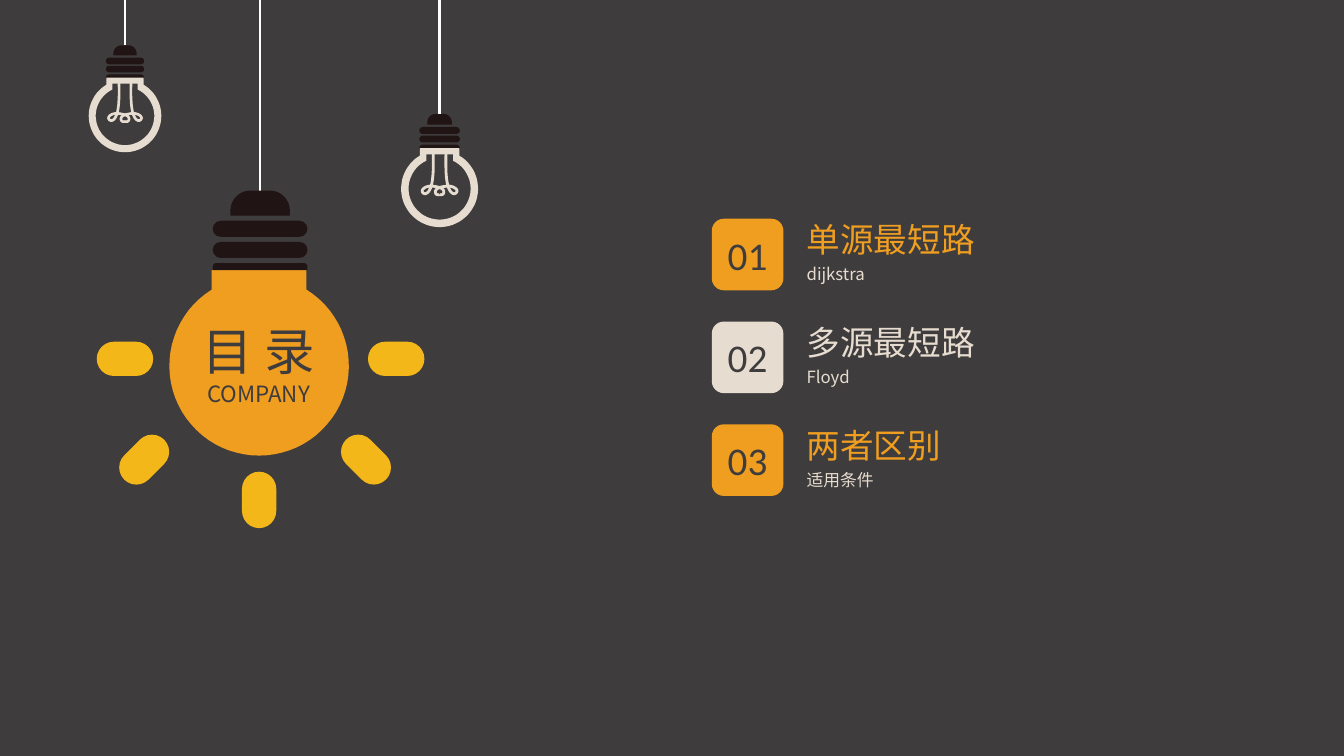
from math import acos, cos, pi, sin
from lxml.etree import SubElement
from pptx import Presentation
from pptx.dml.color import RGBColor
from pptx.enum.shapes import MSO_CONNECTOR, MSO_SHAPE
from pptx.enum.text import MSO_ANCHOR, MSO_AUTO_SIZE, PP_ALIGN
from pptx.oxml.ns import qn
from pptx.util import Inches, Pt

SLATE, ORANGE, CREAM = "3F3C3D", "EF9E20", "E6DCCF"
BLACK, YELLOW, WHITE = "201514", "F3B71A", "FFFFFF"
CHINESE, LATIN = "Noto Sans CJK SC", "Calibri"
UNIT = 1000
LIST_LEFT, LIST_TOP, ROW_PITCH, BADGE = 7.06, 2.17, 1.02, 0.71

ENTRIES = [
    ("单源最短路", "dijkstra", ORANGE),
    ("多源最短路", "Floyd", CREAM),
    ("两者区别", "适用条件", ORANGE),
]
RAYS = [
    (1.24, 3.56, 0), (3.93, 3.56, 0), (3.63, 4.56, 45),
    (1.43, 4.56, 135), (2.57, 4.96, 90),
]
FILAMENT_START = (-0.06, 0.36)
FILAMENT_CURVES = [
    ((-0.055, 0.5), (-0.06, 0.62), (-0.08, 0.68)),
    ((-0.1, 0.74), (-0.13, 0.76), (-0.155, 0.74)),
    ((-0.185, 0.71), (-0.13, 0.675), (-0.08, 0.675)),
    ((-0.03, 0.68), (0.04, 0.69), (0.04, 0.73)),
    ((0.04, 0.76), (0.01, 0.76), (0, 0.755)),
]


def color(code):
    return RGBColor.from_string(code)


def paint(shape, code):
    shape.shadow.inherit = False
    shape.fill.solid()
    shape.fill.fore_color.rgb = color(code)
    shape.line.fill.background()
    return shape


def arc(center_x, center_y, radius, start, end, steps=60):
    angles = [start + (end - start) * step / steps for step in range(steps + 1)]
    return [(center_x + radius * cos(a), center_y + radius * sin(a)) for a in angles]


def bezier(start, curves, steps=10):
    points = [start]
    for first, second, end in curves:
        origin = points[-1]
        for step in range(1, steps + 1):
            t = step / steps
            weights = ((1 - t) ** 3, 3 * t * (1 - t) ** 2, 3 * t * t * (1 - t), t ** 3)
            corners = (origin, first, second, end)
            points.append(tuple(
                sum(w * corner[axis] for w, corner in zip(weights, corners))
                for axis in (0, 1)))
    return points


def add_outline(shapes, contours, closed=True):
    scaled = [[(x * UNIT, y * UNIT) for x, y in points] for points in contours]
    builder = shapes.build_freeform(*scaled[0][0], scale=Inches(1) / UNIT)
    builder.add_line_segments(scaled[0][1:], close=closed)
    for points in scaled[1:]:
        builder.move_to(*points[0])
        builder.add_line_segments(points[1:], close=closed)
    return builder.convert_to_shape()


def add_box(shapes, kind, left, top, width, height, code):
    box = shapes.add_shape(kind, Inches(left), Inches(top), Inches(width), Inches(height))
    return paint(box, code)


def add_pill(shapes, center_x, center_y, width, height, code, angle=0):
    pill = add_box(shapes, MSO_SHAPE.ROUNDED_RECTANGLE, center_x - width / 2,
                   center_y - height / 2, width, height, code)
    pill.adjustments[0] = 0.5
    pill.rotation = angle


def add_cap(shapes, center_x, top, half_width, height):
    radius = 0.8 * height
    inner = half_width - radius
    points = [(center_x - half_width, top + height)]
    points += arc(center_x - inner, top + radius, radius, pi, 1.5 * pi, 12)
    points += arc(center_x + inner, top + radius, radius, 1.5 * pi, 2 * pi, 12)
    points.append((center_x + half_width, top + height))
    paint(add_outline(shapes, [points]), BLACK)


def add_cord(shapes, center_x, bottom):
    cord = shapes.add_connector(MSO_CONNECTOR.STRAIGHT, Inches(center_x), 0,
                                Inches(center_x), Inches(bottom))
    cord.line.color.rgb = color(WHITE)
    cord.line.width = Pt(1.75)
    SubElement(cord._element.spPr, qn("a:effectLst"))


def glass(center_x, center_y, radius, half_neck, neck_top):
    shoulder = acos(half_neck / radius)
    return ([(center_x - half_neck, neck_top), (center_x + half_neck, neck_top)]
            + arc(center_x, center_y, radius, -shoulder, pi + shoulder))


def add_hanging_bulb(page, center_x, top, size):
    shapes = page.shapes.add_group_shape().shapes

    def place(points):
        return [(center_x + x * size, top + y * size) for x, y in points]

    left_wire = bezier(FILAMENT_START, FILAMENT_CURVES)
    right_wire = [(-x, y) for x, y in left_wire]
    filament = add_outline(shapes, [place(left_wire), place(right_wire)], closed=False)
    filament.shadow.inherit = False
    filament.fill.background()
    filament.line.color.rgb = color(CREAM)
    filament.line.width = Pt(1.9 * size)
    for offset in (0.32, 0.235, 0.155):
        add_pill(shapes, center_x, top + offset * size, 0.38 * size, 0.065 * size, BLACK)
    add_cap(shapes, center_x, top, 0.115 * size, 0.1 * size)
    rims = [glass(0, 0.7, 0.36, 0.185, 0.32), glass(0, 0.7, 0.29, 0.125, 0.38)]
    paint(add_outline(shapes, [place(rim) for rim in rims]), CREAM)
    add_cord(shapes, center_x, top)


def add_glowing_bulb(page):
    shapes = page.shapes.add_group_shape().shapes
    add_cord(shapes, 2.58, 1.91)
    paint(add_outline(shapes, [glass(2.57, 3.63, 0.89, 0.47, 2.68)]), ORANGE)
    collar = add_box(shapes, MSO_SHAPE.ROUND_2_SAME_RECTANGLE, 2.11, 2.61, 0.94, 0.07, BLACK)
    collar.adjustments[0] = 0.5
    for center_y in (2.27, 2.48):
        add_pill(shapes, 2.58, center_y, 0.94, 0.16, BLACK)
    add_cap(shapes, 2.58, 1.89, 0.295, 0.25)
    for center_x, center_y, angle in RAYS:
        add_pill(shapes, center_x, center_y, 0.56, 0.34, YELLOW, angle)


def write(para, text, font, size, code, **layout):
    span = para.add_run()
    span.text = text
    for name, value in {"name": font, "size": Pt(size), "bold": False}.items():
        setattr(span.font, name, value)
    span.font.color.rgb = color(code)
    SubElement(span._r.get_or_add_rPr(), qn("a:ea"), typeface=font)
    formats = {"space_before": Pt(0), "space_after": Pt(0), **layout}
    for name, value in formats.items():
        setattr(para, name, value)


def prepare(holder, left, top, width, height):
    bounds = {"left": left, "top": top, "width": width, "height": height}
    for name, value in bounds.items():
        setattr(holder, name, Inches(value))
    frame = holder.text_frame
    settings = {"word_wrap": True, "auto_size": MSO_AUTO_SIZE.NONE,
                "vertical_anchor": MSO_ANCHOR.TOP}
    for name, value in settings.items():
        setattr(frame, name, value)
    return frame


def next_para(frame, index):
    return frame.paragraphs[0] if index == 0 else frame.add_paragraph()


def add_title(page):
    title = page.shapes.title
    frame = prepare(title, 1.88, 3.13, 1.37, 0.99)
    for index, (text, size, spacing) in enumerate([("目 录", 36, 43), ("COMPANY", 16, 19)]):
        write(next_para(frame, index), text, CHINESE, size, SLATE,
              alignment=PP_ALIGN.CENTER, line_spacing=Pt(spacing))
    page.shapes._spTree.append(title._element)


def add_agenda(page):
    frame = prepare(page.placeholders[1], 7.9, 2.13, 3.9, 2.9)
    for row, (heading, detail, code) in enumerate(ENTRIES):
        badge = add_box(page.shapes, MSO_SHAPE.ROUNDED_RECTANGLE, LIST_LEFT,
                        LIST_TOP + row * ROW_PITCH, BADGE, BADGE, code)
        badge.text_frame.word_wrap = False
        badge.text_frame.vertical_anchor = MSO_ANCHOR.MIDDLE
        write(badge.text_frame.paragraphs[0], f"{row + 1:02}", LATIN, 28, SLATE,
              alignment=PP_ALIGN.CENTER)
        write(next_para(frame, row), heading, CHINESE, 24, code, line_spacing=Pt(28))
        write(frame.add_paragraph(), detail, CHINESE, 12, CREAM,
              line_spacing=Pt(18), space_after=Pt(27.5))
    for para in frame.paragraphs:
        properties = para._p.get_or_add_pPr()
        properties.set("marL", "0")
        properties.set("indent", "0")
        SubElement(properties, qn("a:buNone"))


def main():
    deck = Presentation()
    deck.slide_width, deck.slide_height = Inches(13.33), Inches(7.5)
    page = deck.slides.add_slide(deck.slide_layouts[1])
    page.background.fill.solid()
    page.background.fill.fore_color.rgb = color(SLATE)
    add_glowing_bulb(page)
    add_hanging_bulb(page, 1.24, 0.45, 1)
    add_hanging_bulb(page, 4.36, 1.13, 1.06)
    add_agenda(page)
    add_title(page)
    deck.save("out.pptx")


if __name__ == "__main__":
    main()
